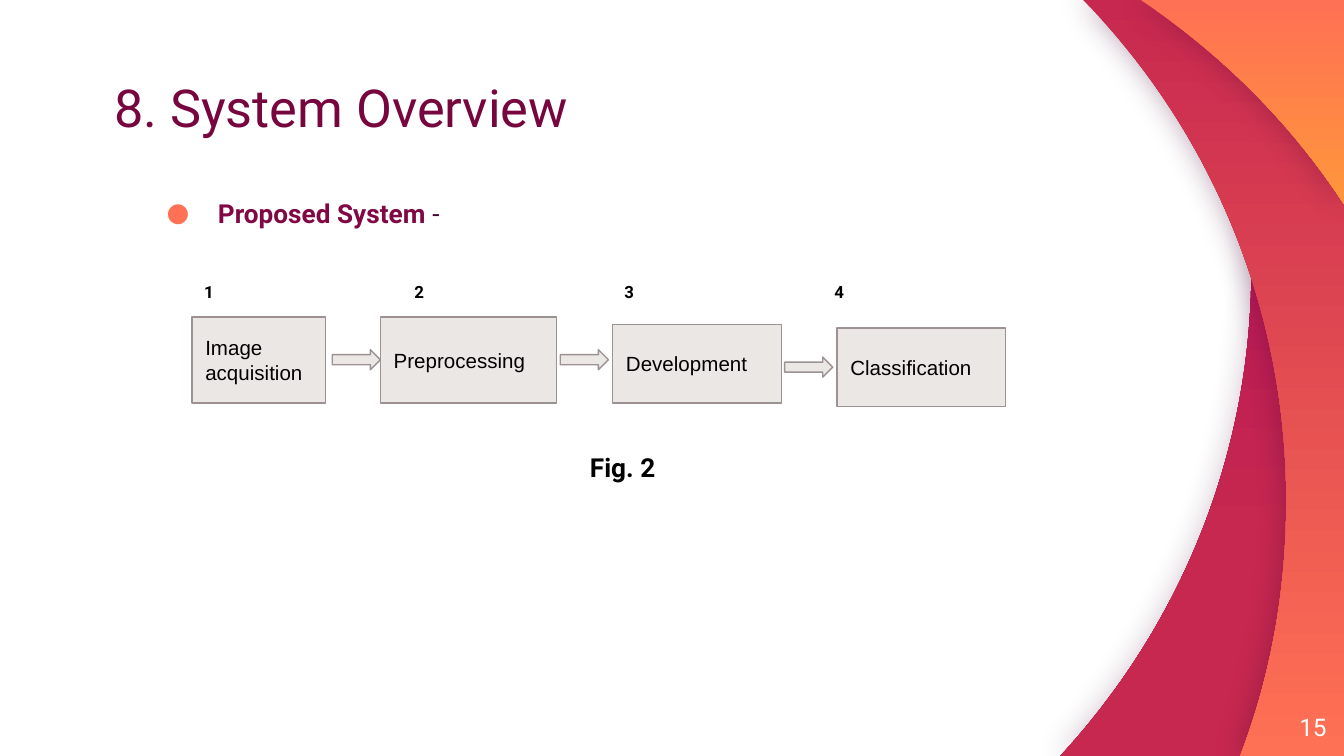
from dataclasses import dataclass

from lxml import etree
from pptx import Presentation
from pptx.dml.color import RGBColor
from pptx.enum.shapes import MSO_SHAPE
from pptx.enum.text import MSO_ANCHOR, PP_ALIGN
from pptx.oxml.ns import qn
from pptx.util import Cm, Pt

RECTANGLE, RIGHT_ARROW = MSO_SHAPE.RECTANGLE, MSO_SHAPE.RIGHT_ARROW
TOP, MIDDLE, BOTTOM = MSO_ANCHOR.TOP, MSO_ANCHOR.MIDDLE, MSO_ANCHOR.BOTTOM
LEFT, RIGHT = PP_ALIGN.LEFT, PP_ALIGN.RIGHT

WIDTH, HEIGHT = 25.4, 14.29


@dataclass(frozen=True)
class Theme:
    heading_font: str = "Roboto"
    box_font: str = "Arial"
    title: str = "77063F"
    strong: str = "810844"
    dark: str = "410433"
    black: str = "000000"
    white: str = "FFFFFF"
    magenta: str = "AC0C5C"
    crimson: str = "C7284F"
    coral: str = "FF7154"
    orange: str = "FF963C"
    box_fill: str = "EBE7E4"
    box_line: str = "9C9194"
    title_size: float = 28
    body_size: float = 14
    page_size: float = 13
    box_size: float = 11
    number_size: float = 9
    line_width: float = 0.75
    inset: float = 0.25


class SlideBuilder:
    def __init__(self, slide, theme):
        self.slide = slide
        self.theme = theme

    def style(self, font, size, color, bold=False, name=None):
        font.name = name or self.theme.heading_font
        font.size = Pt(size)
        font.bold = bold
        font.color.rgb = RGBColor.from_string(color)

    def frame(self, shape, anchor, inset):
        text_frame = shape.text_frame
        text_frame.word_wrap = True
        text_frame.vertical_anchor = anchor
        text_frame.margin_left = text_frame.margin_right = Cm(inset)
        text_frame.margin_top = text_frame.margin_bottom = Cm(inset)
        return text_frame.paragraphs[0]

    def text(self, box, content, size, color, bold=False, anchor=TOP, align=LEFT, inset=0):
        shape = self.slide.shapes.add_textbox(*map(Cm, box))
        paragraph = self.frame(shape, anchor, inset)
        paragraph.text = content
        paragraph.alignment = align
        self.style(paragraph.font, size, color, bold)
        return paragraph

    def bullet(self, box, strong_text, plain_text):
        theme = self.theme
        paragraph = self.text(box, strong_text, theme.body_size, theme.strong)
        paragraph.line_spacing = 1.15
        self.style(paragraph.runs[0].font, theme.body_size, theme.strong, True)
        run = paragraph.add_run()
        run.text = plain_text
        self.style(run.font, theme.body_size, theme.dark)
        properties = paragraph._p.get_or_add_pPr()
        properties.set("marL", str(Cm(1.27)))
        properties.set("indent", str(Cm(-0.97)))
        default_run = properties.find(qn("a:defRPr"))
        bullet_color = etree.Element(qn("a:buClr"))
        etree.SubElement(bullet_color, qn("a:srgbClr"), val=theme.coral)
        bullet_font = etree.Element(qn("a:buFont"), typeface=theme.heading_font)
        bullet_mark = etree.Element(qn("a:buChar"), char="●")
        for element in (bullet_color, bullet_font, bullet_mark):
            default_run.addprevious(element)

    def block(self, kind, box, label=""):
        theme = self.theme
        shape = self.slide.shapes.add_shape(kind, *map(Cm, box))
        shape.shadow.inherit = False
        shape.fill.solid()
        shape.fill.fore_color.rgb = RGBColor.from_string(theme.box_fill)
        shape.line.color.rgb = RGBColor.from_string(theme.box_line)
        shape.line.width = Pt(theme.line_width)
        if label:
            paragraph = self.frame(shape, MIDDLE, theme.inset)
            paragraph.text = label
            paragraph.alignment = LEFT
            self.style(paragraph.font, theme.box_size, theme.black, name=theme.box_font)

    def band(self, start, curves, corners, colors, last_stop, shadow_opacity):
        points = [point for curve in curves for point in curve] + corners
        builder = self.slide.shapes.build_freeform(*map(Cm, start))
        builder.add_line_segments([(Cm(x), Cm(y)) for x, y in points])
        shape = builder.convert_to_shape()
        self.bend(shape, len(curves))
        shape.line.fill.background()
        shape.fill.gradient()
        shape.fill.gradient_angle = 270
        for stop, color, position in zip(shape.fill.gradient_stops, colors, (0, last_stop)):
            stop.color.rgb = RGBColor.from_string(color)
            stop.position = position
        self.glow(shape, shadow_opacity)

    def bend(self, shape, curve_count):
        lines = list(shape._element.iter(qn("a:lnTo")))
        for index in range(curve_count):
            group = lines[3 * index:3 * index + 3]
            curve = etree.Element(qn("a:cubicBezTo"))
            group[0].addprevious(curve)
            for line in group:
                curve.append(line[0])
                line.getparent().remove(line)

    def glow(self, shape, opacity):
        shape.shadow.inherit = False
        effects = shape._element.spPr.find(qn("a:effectLst"))
        shadow = etree.SubElement(
            effects, qn("a:outerShdw"), blurRad=str(Cm(0.6)), dist="0", dir="0",
            algn="ctr", rotWithShape="0",
        )
        color = etree.SubElement(shadow, qn("a:srgbClr"), val=self.theme.dark)
        etree.SubElement(color, qn("a:alpha"), val=str(opacity * 1000))


def main():
    presentation = Presentation()
    presentation.slide_width, presentation.slide_height = Cm(WIDTH), Cm(HEIGHT)
    theme = Theme()
    builder = SlideBuilder(presentation.slides.add_slide(presentation.slide_layouts[6]), theme)

    top_corner, bottom_corner = (WIDTH, 0), (WIDTH, HEIGHT)
    bands = [
        ((22.66, 0),
         [((23.32, 1.63), (23.65, 3.33), (23.65, 5.08)),
          ((23.65, 8.64), (22.28, 11.86), (20.04, HEIGHT))],
         [bottom_corner, top_corner], (theme.magenta, theme.crimson), 0.72, 24),
        ((20.47, 0),
         [((22.86, 2.44), (24.31, 5.79), (24.31, 9.47)),
          ((24.31, 11.13), (24.03, 12.75), (23.44, HEIGHT))],
         [bottom_corner, top_corner], (theme.crimson, theme.coral), 1, 35),
        ((21.56, 0),
         [((23.09, 1.02), (24.41, 2.34), (WIDTH, 3.86))],
         [top_corner], (theme.coral, theme.orange), 1, 29),
    ]
    for band in bands:
        builder.band(*band)

    title = builder.text((2.16, 1.54, 19.33, 1.09), "8. System Overview",
                         theme.title_size, theme.title, anchor=BOTTOM)
    title.line_spacing = 0.9
    builder.bullet((2.85, 3.64, 17.32, 8.99), "Proposed System ", "-")

    steps = [
        ("Image acquisition", (3.63, 5.99, 2.52, 1.63)),
        ("Preprocessing", (7.19, 5.99, 3.33, 1.63)),
        ("Development", (11.58, 6.13, 3.19, 1.49)),
        ("Classification", (15.82, 6.2, 3.19, 1.49)),
    ]
    for index, (label, box) in enumerate(steps):
        builder.block(RECTANGLE, box, label)
        builder.text((3.63 + 3.97 * index, 5.13, 0.48, 0.89), str(index + 1),
                     theme.number_size, theme.black, True, inset=theme.inset)

    for left, top in ((6.28, 6.61), (10.59, 6.61), (14.83, 6.75)):
        builder.block(RIGHT_ARROW, (left, top, 0.91, 0.38))

    builder.text((10.9, 8.28, 1.78, 1.12), "Fig. 2", theme.body_size, theme.black, True,
                 inset=theme.inset)
    builder.text((23.55, 13.19, 1.52, 1.09), "15", theme.page_size, theme.white,
                 anchor=MIDDLE, align=RIGHT)
    presentation.save("out.pptx")


if __name__ == "__main__":
    main()
